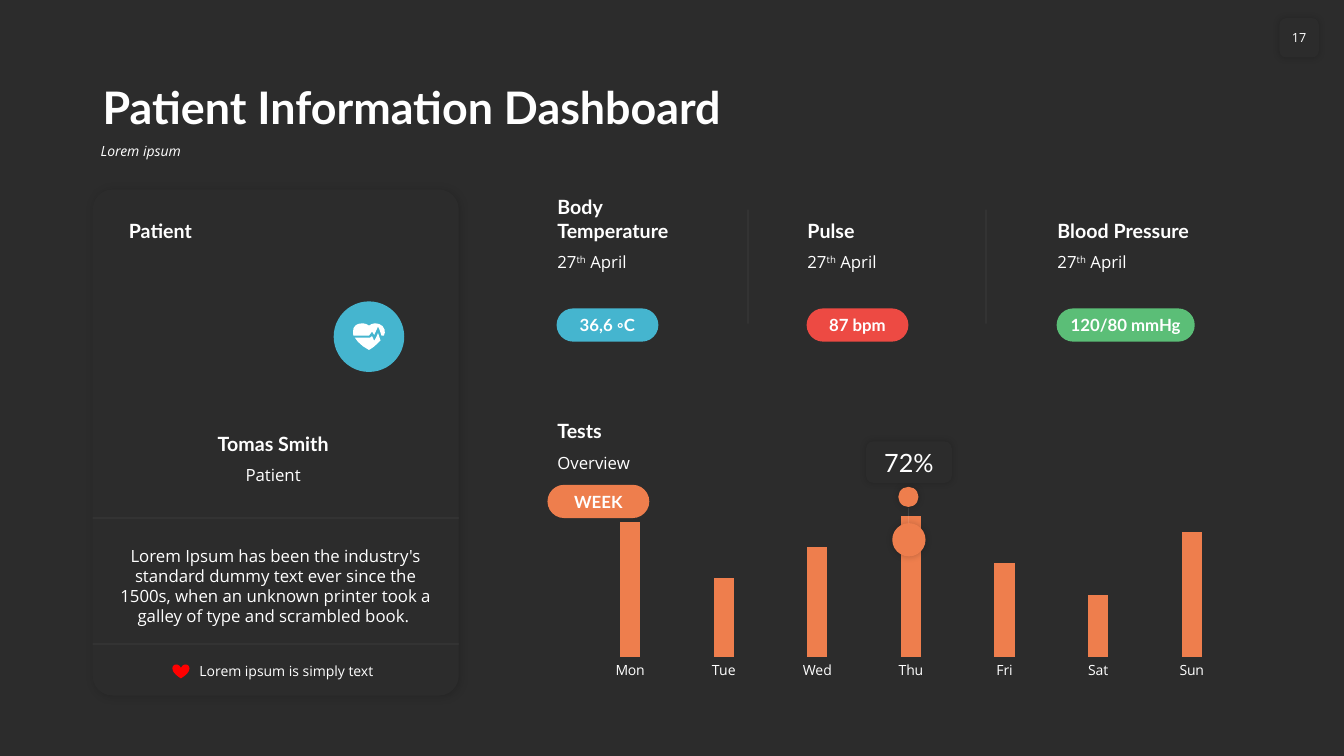
from dataclasses import dataclass

import pptx
import pptx.chart.data
import pptx.dml.color
import pptx.enum.chart
import pptx.enum.shapes
import pptx.enum.text
import pptx.oxml
import pptx.oxml.ns
import pptx.util
from lxml import etree

PX = 9144  # 100 px to the inch
COLORS = {"ground": "2C2C2C", "text": "FFFFFF", "blue": "45B5CF", "red": "ED4A43",
          "green": "5BBE77", "orange": "EE7E4D", "heart": "FF0000", "shadow": "000000"}
STYLES = {
    "title": {"name": "Lato", "size": 32, "bold": True},
    "subtitle": {"name": "Open Sans", "size": 10, "italic": True},
    "heading": {"name": "Lato", "size": 14, "bold": True},
    "body": {"name": "Open Sans", "size": 12},
    "small": {"name": "Open Sans", "size": 10},
    "page": {"name": "Open Sans", "size": 9},
    "pill": {"name": "Lato", "size": 12, "bold": True},
    "callout": {"name": "Lato", "size": 18},
}
Box = tuple[int, int, int, int]
Runs = tuple[tuple[str, int], ...]
SHAPE = pptx.enum.shapes.MSO_SHAPE
ALIGN = pptx.enum.text.PP_ALIGN
ANCHOR = pptx.enum.text.MSO_ANCHOR


@dataclass(frozen=True)
class Shadow:
    alpha: int
    blur: int
    distance: int


@dataclass(frozen=True)
class Label:
    text: str
    box: Box
    style: str
    align: ALIGN = ALIGN.LEFT
    anchor: ANCHOR = ANCHOR.TOP
    spacing: float = 1.0


@dataclass(frozen=True)
class Vital:
    name: str
    value: str
    color: str
    pill_width: int = 101
    name_height: int = 34


CARD_SHADOW = Shadow(15, 6, 1)
SOFT_SHADOW = Shadow(20, 5, 0)

LABELS = [
    Label("Lorem ipsum", (90, 138, 1152, 36), "subtitle", spacing=0.9),
    Label("Patient Information Dashboard", (92, 58, 1150, 80), "title",
          anchor=ANCHOR.BOTTOM, spacing=0.9),
    Label("Patient", (118, 211, 320, 34), "heading", anchor=ANCHOR.BOTTOM),
    Label("Tomas Smith", (171, 423, 200, 34), "heading", ALIGN.CENTER, ANCHOR.BOTTOM),
    Label("Patient", (171, 456, 200, 30), "body", ALIGN.CENTER),
    Label("Lorem Ipsum has been the industry's standard dummy text ever since the 1500s, "
          "when an unknown printer took a galley of type and scrambled book. ",
          (108, 536, 331, 91), "body", ALIGN.CENTER),
    Label("Lorem ipsum is simply text", (188, 652, 196, 27), "small", anchor=ANCHOR.MIDDLE),
    Label("Tests", (543, 410, 286, 34), "heading", anchor=ANCHOR.BOTTOM),
    Label("Overview", (543, 444, 286, 30), "body"),
]
VITALS = [
    Vital("Body Temperature", "36,6 ◦C", "blue", name_height=57),
    Vital("Pulse", "87 bpm", "red"),
    Vital("Blood Pressure", "120/80 mmHg", "green", pill_width=137),
]
VITAL_LEFT, VITAL_STEP, NAME_BOTTOM = 543, 248, 245
DATE: Runs = (("27", 0), ("th", 30), (" April", 0))
DIVIDERS = [(92, 514, 455, 514), (92, 639, 455, 639), (742, 321, 742, 208), (978, 321, 978, 208)]
TESTS = {"Mon": 96, "Tue": 56, "Wed": 78, "Thu": 100, "Fri": 67, "Sat": 44, "Sun": 89}

# Heart with a pulse line, in tenths of a px
PULSE_HEART = [
    [(3505, 3330), (3502, 3290), (3507, 3255), (3530, 3225), (3560, 3212), (3600, 3207),
     (3635, 3215), (3660, 3230), (3685, 3215), (3720, 3207), (3760, 3214), (3795, 3235),
     (3815, 3270), (3817, 3300), (3808, 3330), (3785, 3330), (3765, 3270), (3750, 3240),
     (3712, 3322), (3690, 3290), (3660, 3330)],
    [(3750, 3305), (3775, 3377), (3740, 3412), (3700, 3447), (3660, 3472), (3600, 3435),
     (3550, 3390), (3520, 3350), (3670, 3350), (3690, 3335), (3712, 3380), (3730, 3350)],
]


def rgb(color: str) -> pptx.dml.color.RGBColor:
    return pptx.dml.color.RGBColor.from_string(COLORS[color])


def emu(lengths: Box) -> list[int]:
    return [length * PX for length in lengths]


def set_font(font, style: str) -> None:
    for attribute, value in STYLES[style].items():
        setattr(font, attribute, pptx.util.Pt(value) if attribute == "size" else value)
    font.color.rgb = rgb("text")


def write(frame, runs: Runs, style: str, align: ALIGN, anchor: ANCHOR,
          spacing: float = 1.0, wrap: bool = True) -> None:
    frame.word_wrap, frame.vertical_anchor = wrap, anchor
    paragraph = frame.paragraphs[0]
    paragraph.alignment, paragraph.line_spacing = align, spacing
    for text, baseline in runs:
        run = paragraph.add_run()
        run.text = text
        set_font(run.font, style)
        if baseline:
            run._r.get_or_add_rPr().set("baseline", str(baseline * 1000))


def add_label(slide, label: Label, runs: Runs = ()) -> None:
    textbox = slide.shapes.add_textbox(*emu(label.box))
    write(textbox.text_frame, runs or ((label.text, 0),), label.style, label.align,
          label.anchor, label.spacing)


def paint(shape, color: str, shadow: Shadow | None = None) -> None:
    shape.fill.solid()
    shape.fill.fore_color.rgb = rgb(color)
    shape.line.fill.background()
    shape.shadow.inherit = False
    if shadow:
        effects = shape.element.spPr.find(pptx.oxml.ns.qn("a:effectLst"))
        effects.append(pptx.oxml.parse_xml(
            f'<a:outerShdw {pptx.oxml.ns.nsdecls("a")} blurRad="{shadow.blur * 12700}" '
            f'dist="{shadow.distance * 12700}" dir="2700000" algn="ctr" rotWithShape="0">'
            f'<a:srgbClr val="{COLORS["shadow"]}"><a:alpha val="{shadow.alpha * 1000}"/>'
            '</a:srgbClr></a:outerShdw>'))


def add_block(slide, kind: SHAPE, box: Box, color: str, shadow: Shadow | None = None,
              corner: float | None = None):
    block = slide.shapes.add_shape(kind, *emu(box))
    paint(block, color, shadow)
    if corner is not None:
        block.adjustments[0] = corner
    return block


def add_caption(block, text: str, style: str, side: int, end: int, wrap: bool = True) -> None:
    margins = {"margin_left": side, "margin_right": side, "margin_top": end, "margin_bottom": end}
    for attribute, value in margins.items():
        setattr(block.text_frame, attribute, value * PX)
    write(block.text_frame, ((text, 0),), style, ALIGN.CENTER, ANCHOR.MIDDLE, wrap=wrap)


def add_pill(slide, box: Box, text: str, color: str) -> None:
    pill = add_block(slide, SHAPE.ROUNDED_RECTANGLE, box, color, corner=0.5)
    add_caption(pill, text, "pill", 0, 0)


def add_divider(slide, ends: Box) -> None:
    divider = slide.shapes.add_connector(pptx.enum.shapes.MSO_CONNECTOR.STRAIGHT, *emu(ends))
    divider.line.width = pptx.util.Pt(0.5)
    divider.line.color.rgb = rgb("text")
    properties = divider.element.spPr
    tint = properties.find(".//" + pptx.oxml.ns.qn("a:srgbClr"))
    etree.SubElement(tint, pptx.oxml.ns.qn("a:alpha")).set("val", "10000")
    etree.SubElement(properties, pptx.oxml.ns.qn("a:effectLst"))


def add_tests_chart(slide) -> None:
    data = pptx.chart.data.CategoryChartData()
    data.categories = list(TESTS)
    data.add_series("Series 1", list(TESTS.values()))
    chart = slide.shapes.add_chart(pptx.enum.chart.XL_CHART_TYPE.COLUMN_CLUSTERED,
                                   *emu((565, 494, 677, 184)), data).chart
    chart.has_legend = chart.has_title = False
    set_font(chart.font, "body")
    days, scores, plot = chart.category_axis, chart.value_axis, chart.plots[0]
    days.major_tick_mark = pptx.enum.chart.XL_TICK_MARK.NONE
    days.format.line.fill.background()
    set_font(days.tick_labels.font, "small")
    formats = {"visible": False, "has_major_gridlines": False,
               "minimum_scale": 0, "maximum_scale": 100}
    for attribute, value in formats.items():
        setattr(scores, attribute, value)
    plot.gap_width, plot.overlap, plot.vary_by_categories = 360, -30, False
    bars = plot.series[0].format.fill
    bars.solid()
    bars.fore_color.rgb = rgb("orange")
    # Fixed plot area, as shares of the chart frame
    area = chart.element.find(".//" + pptx.oxml.ns.qn("c:plotArea"))
    for old in area.findall(pptx.oxml.ns.qn("c:layout")):
        area.remove(old)
    places = {"layoutTarget": "inner", "xMode": "edge", "yMode": "edge",
              "x": 0.02, "y": 0.1, "w": 0.96, "h": 0.76}
    marks = "".join(f'<c:{tag} val="{value}"/>' for tag, value in places.items())
    area.insert(0, pptx.oxml.parse_xml(f'<c:layout {pptx.oxml.ns.nsdecls("c")}>'
                                       f'<c:manualLayout>{marks}</c:manualLayout></c:layout>'))


def add_pulse_heart(slide) -> None:
    builder = slide.shapes.build_freeform(*PULSE_HEART[0][0], scale=PX / 10)
    for outline in PULSE_HEART:
        builder.move_to(*outline[0])
        builder.add_line_segments(outline[1:], close=True)
    paint(builder.convert_to_shape(), "text")


def main() -> None:
    deck = pptx.Presentation()
    deck.slide_width, deck.slide_height = 1333 * PX, 750 * PX
    slide = deck.slides.add_slide(deck.slide_layouts[6])
    slide.background.fill.solid()
    slide.background.fill.fore_color.rgb = rgb("ground")

    # Patient card, headings and page number
    add_block(slide, SHAPE.ROUNDED_RECTANGLE, (92, 188, 363, 502), "ground", CARD_SHADOW, 0.054)
    for label in LABELS:
        add_label(slide, label)
    for ends in DIVIDERS:
        add_divider(slide, ends)
    add_block(slide, SHAPE.HEART, (171, 659, 17, 14), "heart")
    page = add_block(slide, SHAPE.ROUNDED_RECTANGLE, (1269, 18, 39, 39), "ground", SOFT_SHADOW)
    add_caption(page, "17", "page", 0, 5, wrap=False)

    # Vital signs
    for column, vital in enumerate(VITALS):
        left = VITAL_LEFT + column * VITAL_STEP
        name_box = (left, NAME_BOTTOM - vital.name_height, 166, vital.name_height)
        add_label(slide, Label(vital.name, name_box, "heading", anchor=ANCHOR.BOTTOM))
        add_label(slide, Label("", (left, NAME_BOTTOM, 166, 30), "body"), DATE)
        add_pill(slide, (left + 9, 306, vital.pill_width, 33), vital.value, vital.color)

    # Weekly tests with the marked day
    add_tests_chart(slide)
    add_block(slide, SHAPE.OVAL, (885, 519, 33, 33), "orange", SOFT_SHADOW)
    add_divider(slide, (901, 504, 901, 519))
    add_block(slide, SHAPE.OVAL, (891, 483, 20, 20), "orange", SOFT_SHADOW)
    callout = add_block(slide, SHAPE.ROUNDED_RECTANGLE, (859, 438, 85, 41), "ground", SOFT_SHADOW)
    add_caption(callout, "72%", "callout", 8, 5)
    add_pill(slide, (543, 481, 101, 33), "WEEK", "orange")

    # Heart badge
    add_block(slide, SHAPE.OVAL, (331, 299, 70, 70), "blue")
    add_pulse_heart(slide)
    deck.save("out.pptx")


if __name__ == "__main__":
    main()
